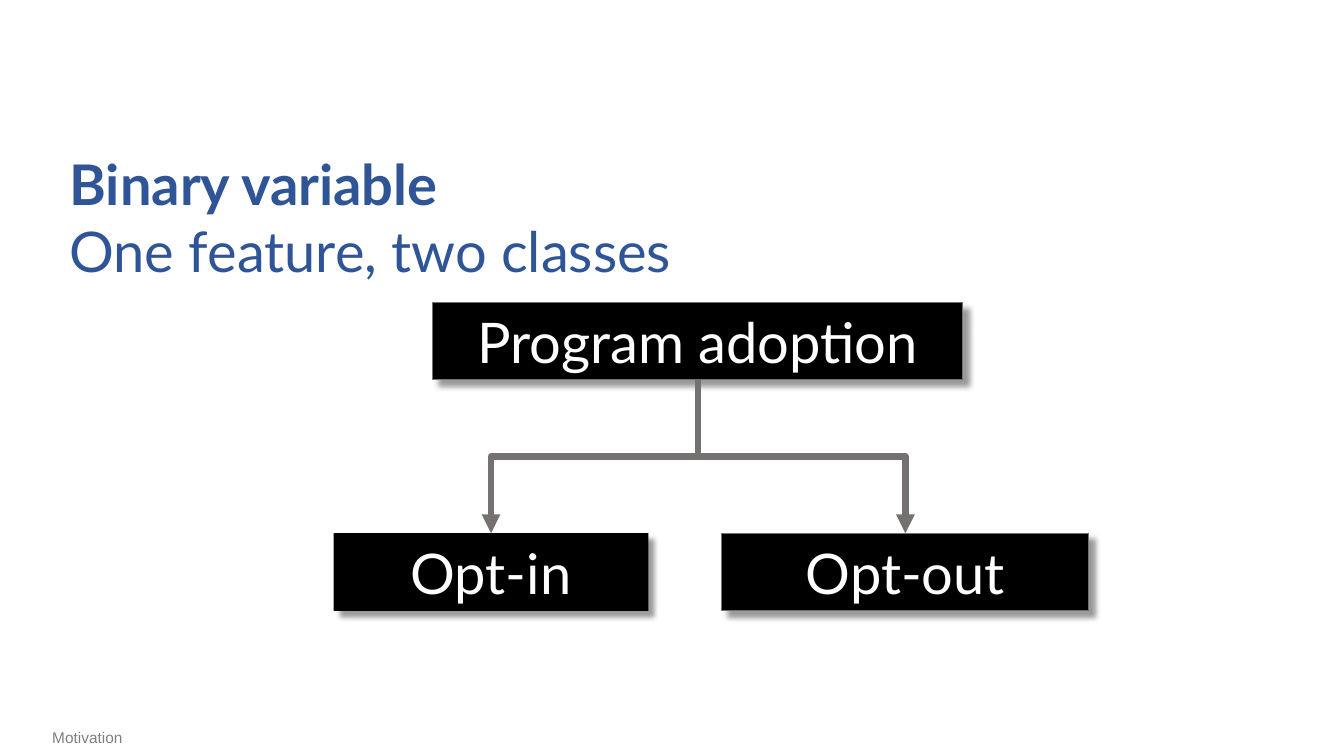
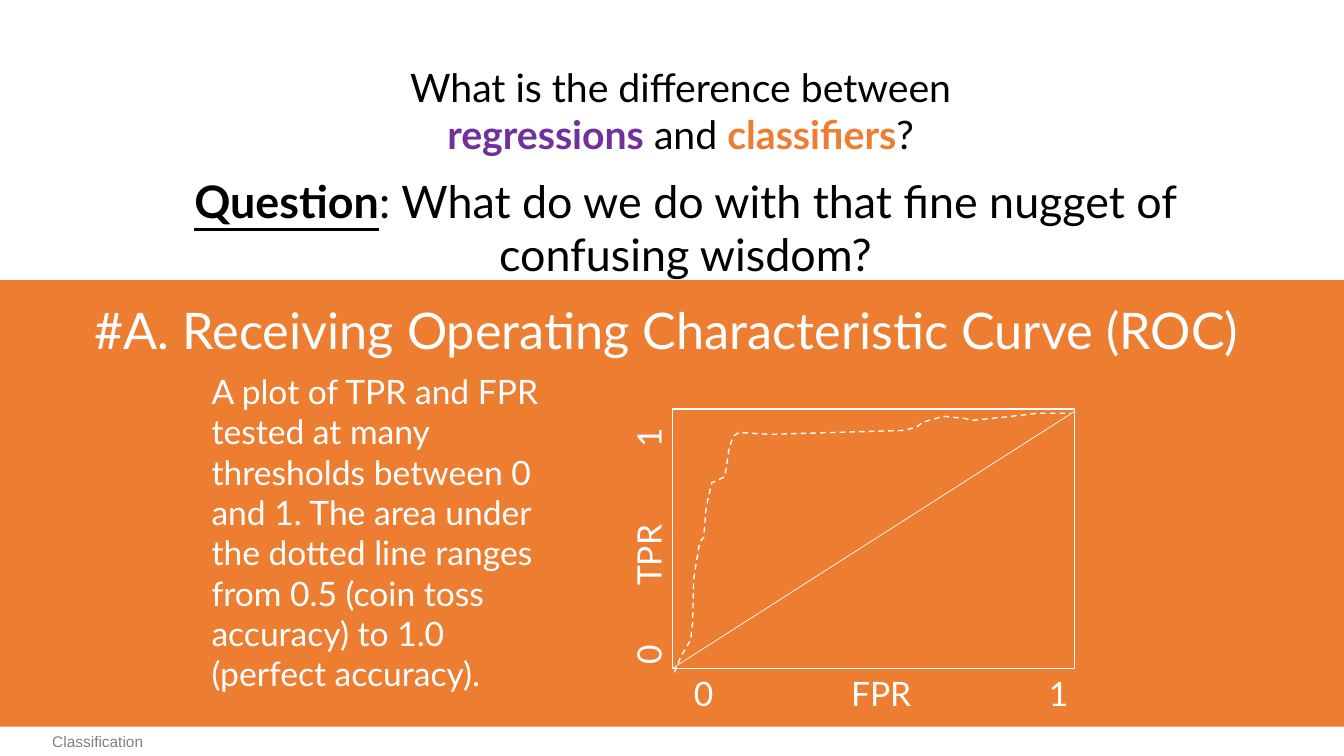
from lxml.etree import SubElement
from pptx import Presentation
from pptx.dml.color import RGBColor
from pptx.enum.dml import MSO_LINE
from pptx.enum.shapes import MSO_CONNECTOR, MSO_SHAPE
from pptx.enum.text import MSO_ANCHOR, MSO_AUTO_SIZE, PP_ALIGN
from pptx.oxml.ns import qn
from pptx.util import Inches, Pt

COLORS = {
    "black": "000000",
    "white": "FFFFFF",
    "blue": "2F5597",
    "purple": "7030A0",
    "orange": "ED7D31",
    "gray": "767171",
    "footer": "808080",
}
FONT = "Lato"
PAGE_WIDTH, PAGE_HEIGHT = 13.33, 7.5

# ROC curve points, in inches right of and above the plot's lower left corner
ROC_POINTS = [
    (0.02, -0.04), (0.08, 0.11), (0.18, 0.28), (0.2, 0.46), (0.21, 0.88),
    (0.23, 1.01), (0.27, 1.25), (0.31, 1.3), (0.33, 1.55), (0.35, 1.67),
    (0.39, 1.84), (0.52, 1.9), (0.56, 2.17), (0.6, 2.3), (0.66, 2.34),
    (0.96, 2.32), (2.31, 2.36), (2.43, 2.4), (2.48, 2.44), (2.62, 2.48),
    (2.68, 2.5), (2.89, 2.48), (2.98, 2.46), (3.37, 2.5), (3.62, 2.53),
    (3.95, 2.53),
]


def rgb(name):
    return RGBColor.from_string(COLORS[name])


def inches(*lengths):
    return [Inches(length) for length in lengths]


# Shared text and shape styles
def write(shape, lines, size, color="black", align=PP_ALIGN.LEFT,
          anchor=MSO_ANCHOR.TOP, font=FONT):
    """Each line is a list of (text, style) runs."""
    frame = shape.text_frame
    frame.word_wrap = True
    frame.auto_size = MSO_AUTO_SIZE.NONE
    frame.vertical_anchor = anchor
    for index, line in enumerate(lines):
        para = frame.add_paragraph() if index else frame.paragraphs[0]
        para.alignment = align
        for text, style in line:
            span = para.add_run()
            span.text = text
            span.font.name = font
            span.font.size = Pt(size)
            span.font.bold = style.get("bold", False)
            span.font.underline = style.get("underline", False)
            span.font.color.rgb = rgb(style.get("color", color))


def add_text(page, box, text, size, color, **options):
    shape = page.shapes.add_textbox(*inches(*box))
    write(shape, [[(text, {})]], size, color, **options)
    return shape


def add_title(page, box, lines, size, **options):
    title = page.shapes.title
    title.left, title.top, title.width, title.height = inches(*box)
    write(title, lines, size, **options)


def add_footer(page, text, top):
    add_text(page, (0.42, top, 2.27, 0.29), text, 11, "footer", font="Arial")


def add_box(page, box, fill=None, line=None, weight=0.75):
    shape = page.shapes.add_shape(MSO_SHAPE.RECTANGLE, *inches(*box))
    paint(shape, fill, line, weight)
    return shape


def paint(shape, fill=None, line=None, weight=0.75):
    shape.shadow.inherit = False
    if fill:
        shape.fill.solid()
        shape.fill.fore_color.rgb = rgb(fill)
    else:
        shape.fill.background()
    if line:
        shape.line.color.rgb = rgb(line)
        shape.line.width = Pt(weight)
    else:
        shape.line.fill.background()


def add_line(page, kind, start, end, color, weight):
    line = page.shapes.add_connector(kind, *inches(*start, *end))
    line.line.color.rgb = rgb(color)
    line.line.width = Pt(weight)
    SubElement(line.element.spPr, qn("a:effectLst"))
    return line


# Tree of classes
def add_node(page, box, text, line="gray"):
    node = add_box(page, box, "black", line)
    effects = node.element.spPr.find(qn("a:effectLst"))
    shadow = SubElement(effects, qn("a:outerShdw"), blurRad="50800",
                        dist="76200", dir="2700000", algn="tl", rotWithShape="0")
    tint = SubElement(shadow, qn("a:srgbClr"), val=COLORS["black"])
    SubElement(tint, qn("a:alpha"), val="40000")
    write(node, [[(text, {})]], 40, "white", PP_ALIGN.CENTER, MSO_ANCHOR.MIDDLE)


def add_branch(page, parent, child):
    """Elbow arrow from the bottom of the parent to the top of the child."""
    x1, y1 = parent[0] + parent[2] / 2, parent[1] + parent[3]
    x2, y2 = child[0] + child[2] / 2, child[1]
    middle_x, middle_y = (x1 + x2) / 2, (y1 + y2) / 2
    to_left = x2 < x1
    reach = (y2 - y1) / 2 * (1 if to_left else -1)
    half = abs(x2 - x1) / 2
    # The elbow is drawn lying down, then turned upright
    arrow = add_line(page, MSO_CONNECTOR.ELBOW,
                     (middle_x - reach, middle_y - half),
                     (middle_x + reach, middle_y + half), "gray", 4.5)
    turn = 90 if to_left else 270
    arrow.element.spPr.find(qn("a:xfrm")).set("rot", str(turn * 60000))
    SubElement(arrow.line._get_or_add_ln(), qn("a:tailEnd"), type="triangle")


def add_tree(page, left, top):
    root = (left + 0.98, top, 5.26, 0.77)
    opt_in = (left, top + 2.29, 3.12, 0.77)
    opt_out = (left + 3.85, top + 2.29, 3.64, 0.77)
    add_node(page, opt_in, "Opt-in", line=None)
    add_node(page, opt_out, "Opt-out")
    add_node(page, root, "Program adoption")
    for child in (opt_in, opt_out):
        add_branch(page, root, child)


# ROC plot
def add_axis_label(page, text, center_x, center_y, rotation=0):
    width, height = 1, 0.5
    box = (center_x - width / 2, center_y - height / 2, width, height)
    label = add_text(page, box, text, 24, "white", align=PP_ALIGN.CENTER)
    label.rotation = rotation


def add_roc_plot(page, left, top, width, height):
    bottom = top + height
    add_box(page, (left, top, width, height), line="white", weight=1)
    add_line(page, MSO_CONNECTOR.STRAIGHT, (left, bottom),
             (left + width, top + 0.02), "white", 0.5)

    # Dashed curve
    points = [inches(left + x, bottom - y) for x, y in ROC_POINTS]
    builder = page.shapes.build_freeform(*points[0])
    builder.add_line_segments(points[1:], close=False)
    curve = builder.convert_to_shape()
    paint(curve, line="white", weight=1)
    curve.line.dash_style = MSO_LINE.DASH

    # Axis labels
    for text, x in (("0", 0.31), ("FPR", 2.07), ("1", 3.83)):
        add_axis_label(page, text, left + x, bottom + 0.25)
    for text, y in (("0", 0.14), ("TPR", 1.12), ("1", 2.29)):
        add_axis_label(page, text, left - 0.24, bottom - y, 270)


def add_roc_band(page, top, height):
    add_box(page, (0, top, PAGE_WIDTH, height), "orange")
    add_text(page, (0.84, top + 0.14, 12.4, 0.71),
             "#A. Receiving Operating Characteristic Curve (ROC)", 36, "white")
    add_text(page, (2, top + 0.85, 3.6, 3.33),
             "A plot of TPR and FPR tested at many thresholds between 0 and 1. "
             "The area under the dotted line ranges from 0.5 (coin toss "
             "accuracy) to 1.0 (perfect accuracy).", 24, "white")
    add_roc_plot(page, 6.67, top + 1.28, 3.99, 2.57)


# Slides
def build_binary_slide(page):
    add_title(page, (0.59, 1.43, 8.2, 1.45),
              [[("Binary variable", {"bold": True})],
               [("One feature, two classes", {})]], 40, color="blue")
    add_tree(page, 3.31, 3)
    add_footer(page, "Motivation", 7.17)


def build_roc_slide(page):
    add_title(page, (2, 0.58, 9.5, 1.04),
              [[("What is the difference between", {})],
               [("regressions", {"bold": True, "color": "purple"}),
                (" and ", {}),
                ("classifiers", {"bold": True, "color": "orange"}),
                ("?", {})]], 28, align=PP_ALIGN.CENTER)
    question = page.shapes.add_textbox(*inches(1.63, 1.67, 10.34, 1.18))
    write(question,
          [[("Question", {"bold": True, "underline": True}),
            (": What do we do with that fine nugget of confusing wisdom?", {})]],
          32, align=PP_ALIGN.CENTER)
    add_roc_band(page, 2.78, 4.43)
    add_footer(page, "Classification", 7.21)


def main():
    deck = Presentation()
    deck.slide_width, deck.slide_height = inches(PAGE_WIDTH, PAGE_HEIGHT)
    title_only = deck.slide_layouts[5]
    for build in (build_binary_slide, build_roc_slide):
        build(deck.slides.add_slide(title_only))
    deck.save("out.pptx")


if __name__ == "__main__":
    main()
